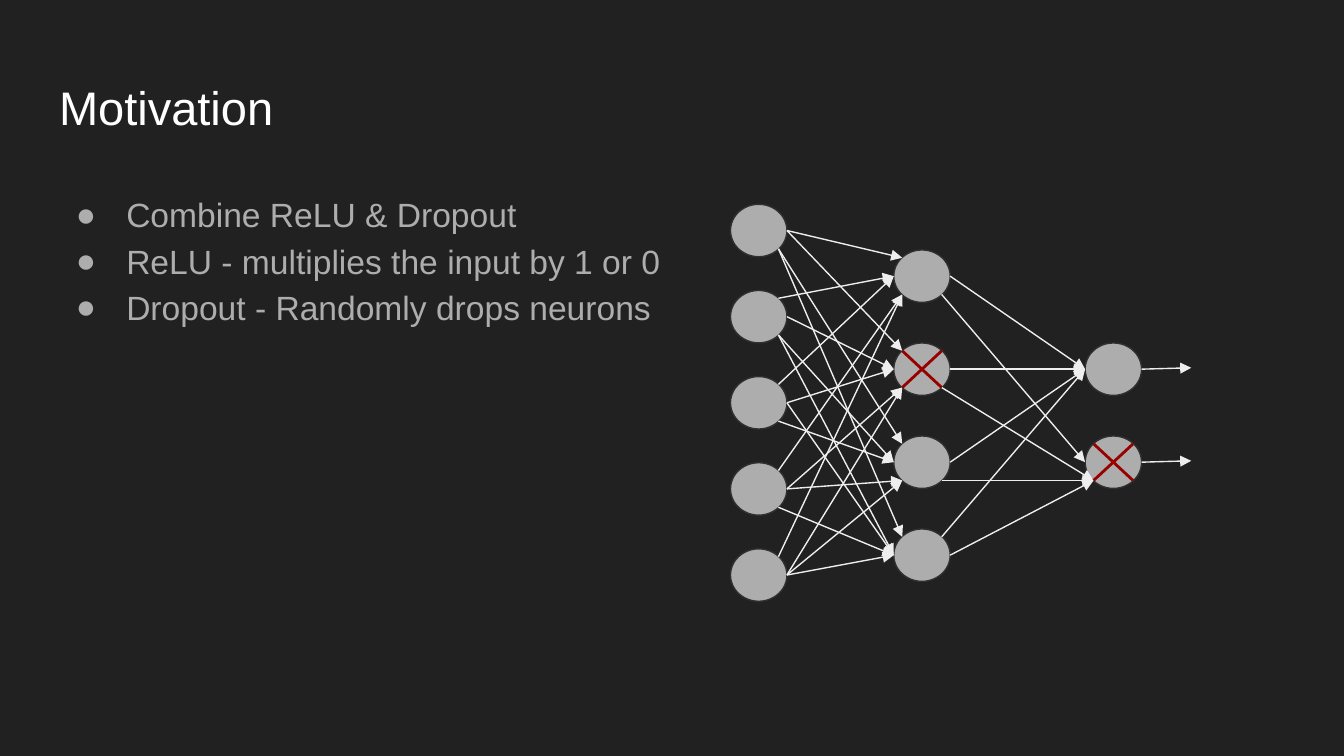
from lxml import etree
from pptx import Presentation
from pptx.dml.color import RGBColor
from pptx.enum.shapes import MSO_CONNECTOR, MSO_SHAPE
from pptx.oxml.ns import qn
from pptx.util import Inches, Pt

OVAL = MSO_SHAPE.OVAL
STRAIGHT = MSO_CONNECTOR.STRAIGHT
COLORS = {
    "background": "212121",
    "title": "FFFFFF",
    "body": "ADADAD",
    "neuron": "ADADAD",
    "outline": "303030",
    "arrow": "EEEEEE",
    "dropped": "980000",
}
FONT = "Arial"

presentation = Presentation()
presentation.slide_width = Inches(10)
presentation.slide_height = presentation.slide_width * 9 // 16
CELL = presentation.slide_width / 100  # square grid, 100 columns wide
slide = presentation.slides.add_slide(presentation.slide_layouts[6])
slide.background.fill.solid()
slide.background.fill.fore_color.rgb = RGBColor.from_string(COLORS["background"])


def add_text(lines, top, height, size, color, spacing=1.0, bullet=None):
    box = slide.shapes.add_textbox(*(round(n * CELL) for n in (3.41, top, 93.2, height)))
    frame = box.text_frame
    frame.word_wrap = True
    frame.margin_left = frame.margin_right = round(CELL)
    frame.margin_top = frame.margin_bottom = round(CELL)
    for index, line in enumerate(lines):
        paragraph = frame.paragraphs[0] if index == 0 else frame.add_paragraph()
        paragraph.line_spacing = spacing
        run = paragraph.add_run()
        run.text = line
        run.font.name = FONT
        run.font.size = Pt(size)
        run.font.color.rgb = RGBColor.from_string(COLORS[color])
        if bullet:
            properties = paragraph._p.get_or_add_pPr()
            properties.set("marL", str(round(5 * CELL)))
            properties.set("indent", str(round(-3.75 * CELL)))
            bullet_color = etree.SubElement(properties, qn("a:buClr"))
            etree.SubElement(bullet_color, qn("a:srgbClr"), val=COLORS[color])
            etree.SubElement(properties, qn("a:buFont"), typeface=FONT)
            etree.SubElement(properties, qn("a:buChar"), char=bullet)


def add_line(start, end, color, width, arrow=False):
    points = [round(n * CELL) for n in (*start, *end)]
    connector = slide.shapes.add_connector(STRAIGHT, *points)
    connector.line.color.rgb = RGBColor.from_string(COLORS[color])
    connector.line.width = Pt(width)
    if arrow:
        etree.SubElement(connector.line._get_or_add_ln(), qn("a:tailEnd"), type="triangle")
    etree.SubElement(connector._element.spPr, qn("a:effectLst"))


add_text(["Motivation"], 4.85, 6.3, 25.2, "title")
add_text(
    [
        "Combine ReLU & Dropout",
        "ReLU - multiplies the input by 1 or 0",
        "Dropout - Randomly drops neurons",
    ],
    13.02, 37.4, 18, "body", spacing=1.15, bullet="●",
)

# Layers of neurons: left, top of the first neuron, vertical pitch, count
NEURON_WIDTH, NEURON_HEIGHT = 4.2, 3.9
LAYERS = {
    "input": (54.35, 15.2, 6.41, 5),
    "hidden": (66.5, 18.6, 6.92, 4),
    "output": (80.74, 25.52, 6.92, 2),
}
# Points on a neuron's edge, as shares of its width and height
NEAR, FAR = 0.15, 0.85
SITES = {
    "left": (0, 0.5), "right": (1, 0.5),
    "upper left": (NEAR, NEAR), "upper right": (FAR, NEAR),
    "lower left": (NEAR, FAR), "lower right": (FAR, FAR),
}
neurons = {}
for layer, (left, first_top, pitch, count) in LAYERS.items():
    neurons[layer] = []
    for row in range(count):
        top = first_top + row * pitch
        box = (left, top, NEURON_WIDTH, NEURON_HEIGHT)
        neuron = slide.shapes.add_shape(OVAL, *(round(n * CELL) for n in box))
        neuron.shadow.inherit = False
        neuron.fill.solid()
        neuron.fill.fore_color.rgb = RGBColor.from_string(COLORS["neuron"])
        neuron.line.color.rgb = RGBColor.from_string(COLORS["outline"])
        neuron.line.width = Pt(0.75)
        neurons[layer].append({
            name: (left + x * NEURON_WIDTH, top + y * NEURON_HEIGHT)
            for name, (x, y) in SITES.items()
        })

# For each target neuron: the sites left and reached, one per source neuron
R, UR, LR = "right", "upper right", "lower right"
L, UL, LL = "left", "upper left", "lower left"
LINKS = [
    ("input", "hidden", [
        ((R, UR, UR, UR, UR), (UL, L, L, LL, LL)),
        ((R, R, R, R, R), (UL, L, L, LL, LL)),
        ((LR, LR, LR, R, R), (UL, L, L, LL, LL)),
        ((LR, LR, R, LR, R), (UL, L, L, L, L)),
    ]),
    ("hidden", "output", [
        ((R, R, R, UR), (L, L, L, L)),
        ((LR, LR, LR, R), (L, LL, LL, LL)),
    ]),
]
for source_layer, target_layer, links in LINKS:
    for target, (exits, entries) in zip(neurons[target_layer], links):
        for source, leaving, reaching in zip(neurons[source_layer], exits, entries):
            add_line(source[leaving], target[reaching], "arrow", 0.75, arrow=True)

for neuron in neurons["output"]:
    x, y = neuron[R]
    add_line((x, y), (x + 3.7, y - 0.1), "arrow", 0.75, arrow=True)

for dropped in (neurons["hidden"][1], neurons["output"][1]):
    add_line(dropped[UL], dropped[LR], "dropped", 1.5)
    add_line(dropped[UR], dropped[LL], "dropped", 1.5)

presentation.save("out.pptx")
